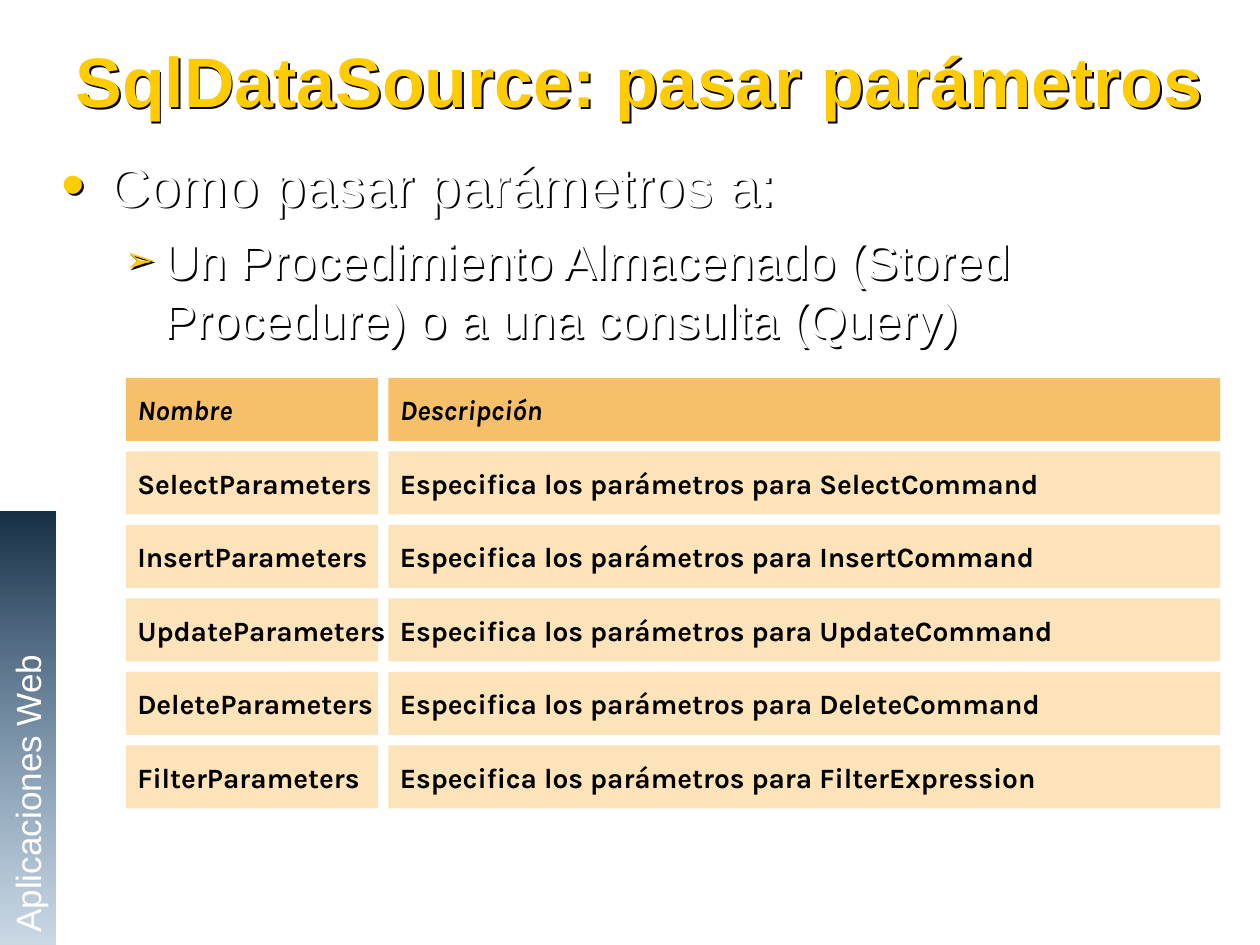
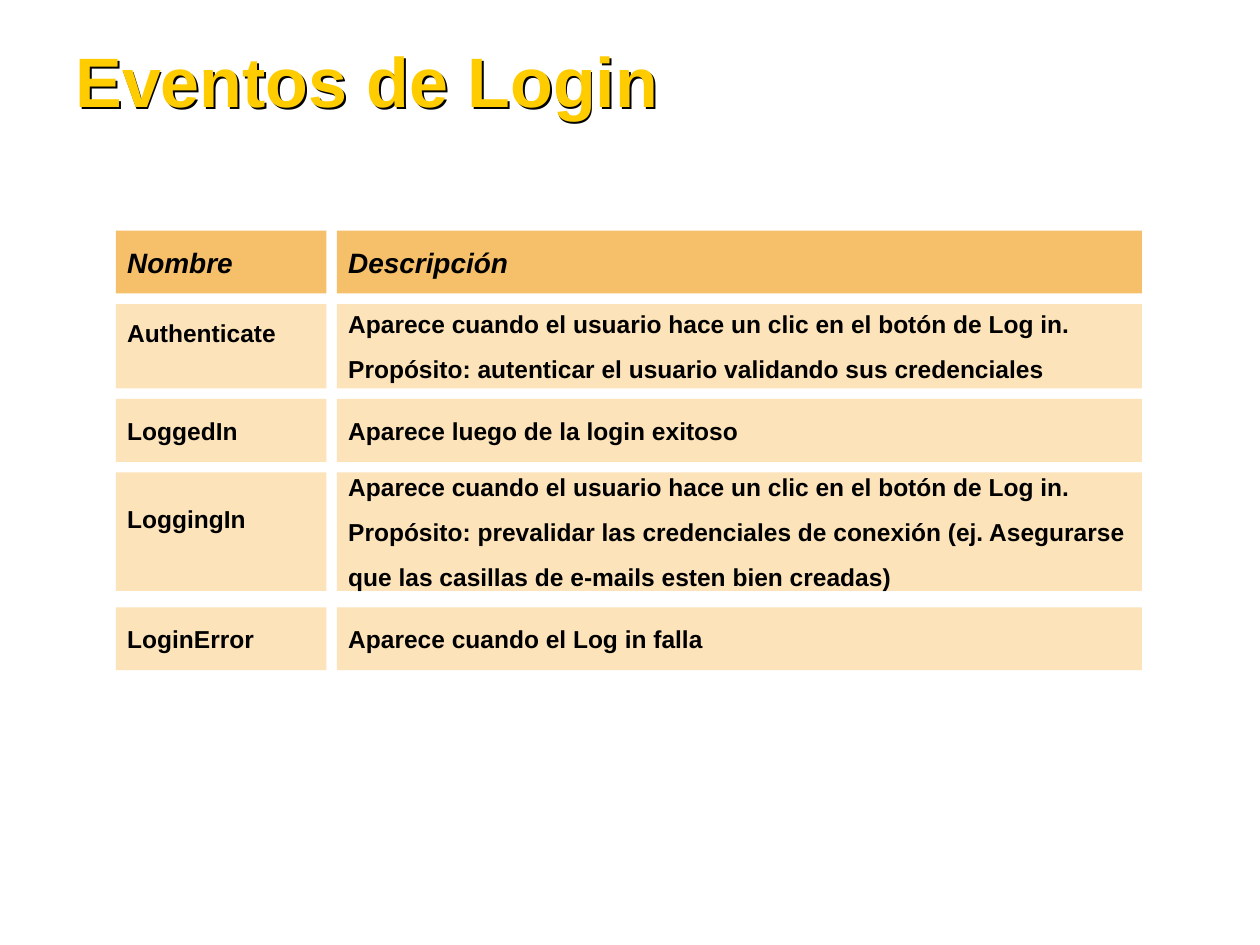
from lxml.etree import SubElement
from pptx import Presentation
from pptx.dml.color import RGBColor
from pptx.enum.shapes import MSO_SHAPE as Preset
from pptx.enum.text import MSO_ANCHOR as Anchor, PP_ALIGN as Align
from pptx.oxml.ns import qn
from pptx.util import Inches, Pt

GOLD, WHITE, BLACK = "FFCC00", "FFFFFF", "000000"
HEAD_FILL, ROW_FILL = "F6BF69", "FDE3BA"
BAND_DARK, BAND_LIGHT = "183046", "346898"
GAP = 1 / 12
CELL_INSET = 0.09
HEADINGS = ("Nombre", ["Descripción"])

PARAMETERS = dict(
    title="SqlDataSource: pasar parámetros",
    points=[
        dict(text="Como pasar parámetros a:", size=32, left=0.38,
             indent=-0.38, bullet="•", bullet_size=120),
        dict(text="Un Procedimiento Almacenado (Stored Procedure) o a una consulta (Query)",
             size=28, left=0.81, indent=-0.31, bullet="➢", bullet_size=75, before=7, level=1),
    ],
    band="Aplicaciones Web",
    grid=dict(left=1, top=3, widths=(2, 6.6), font="Karla", size=16, before=10),
    rows=[
        (f"{action}Parameters", [f"Especifica los parámetros para {target}"], 0.5, GAP)
        for action, target in [
            ("Select", "SelectCommand"),
            ("Insert", "InsertCommand"),
            ("Update", "UpdateCommand"),
            ("Delete", "DeleteCommand"),
            ("Filter", "FilterExpression"),
        ]
    ],
)
EVENTS = dict(
    title="Eventos de Login",
    grid=dict(left=0.92, top=1.83, widths=(1.67, 6.39), font="Arial", size=14, before=8.8),
    rows=[
        ("Authenticate", ["Aparece cuando el usuario hace un clic en el botón de Log in.",
                          "Propósito: autenticar el usuario validando sus credenciales"], 0.67, GAP),
        ("LoggedIn", ["Aparece luego de la login exitoso"], 0.5, GAP),
        ("LoggingIn", ["Aparece cuando el usuario hace un clic en el botón de Log in.",
                       "Propósito: prevalidar las credenciales de conexión (ej. Asegurarse",
                       "que las casillas de e-mails esten bien creadas)"], 0.94, 0.13),
        ("LoginError", ["Aparece cuando el Log in falla"], 0.5, GAP),
    ],
)


def rgb(value):
    return RGBColor.from_string(value)


def add_bullet(paragraph, left, indent, bullet, bullet_size):
    props = paragraph._p.get_or_add_pPr()
    props.set("marL", str(Inches(left)))
    props.set("indent", str(Inches(indent)))
    color = SubElement(props, qn("a:buClr"))
    SubElement(color, qn("a:srgbClr"), val=GOLD)
    SubElement(props, qn("a:buSzPct"), val=str(bullet_size * 1000))
    SubElement(props, qn("a:buFont"), typeface="Arial")
    SubElement(props, qn("a:buChar"), char=bullet)


def write(frame, text, size=16, font="Arial", color=BLACK, bold=False, italic=False,
          before=0, level=0, **bullet):
    started = bool(frame.paragraphs[0].runs)
    paragraph = frame.add_paragraph() if started else frame.paragraphs[0]
    paragraph.alignment = Align.LEFT
    paragraph.level = level
    if started:
        paragraph.space_before = Pt(before)
    if bullet:
        add_bullet(paragraph, **bullet)
    run = paragraph.add_run()
    run.text = text
    run.font.size, run.font.name = Pt(size), font
    run.font.bold, run.font.italic = bold, italic
    run.font.color.rgb = rgb(color)


def add_box(slide, left, top, width, height):
    box = slide.shapes.add_shape(Preset.RECTANGLE, *map(Inches, (left, top, width, height)))
    box.shadow.inherit = False
    box.line.fill.background()
    return box


def add_shadowed_text(slide, left, top, width, height, anchor=Anchor.TOP):
    box = slide.shapes.add_textbox(*map(Inches, (left, top, width, height)))
    box.text_frame.word_wrap = True
    box.text_frame.vertical_anchor = anchor
    effects = SubElement(box._element.spPr, qn("a:effectLst"))
    shadow = SubElement(effects, qn("a:outerShdw"), dist=str(Inches(0.02)), dir="2700000")
    SubElement(shadow, qn("a:srgbClr"), val=BLACK)
    return box.text_frame


def add_cell(slide, place, lines, fill, lift=0, **style):
    cell = add_box(slide, *place)
    cell.fill.solid()
    cell.fill.fore_color.rgb = rgb(fill)
    frame = cell.text_frame
    frame.word_wrap = False
    frame.vertical_anchor = Anchor.MIDDLE
    frame.margin_left = frame.margin_right = frame.margin_top = Inches(CELL_INSET)
    frame.margin_bottom = Inches(CELL_INSET + lift)
    for line in lines:
        write(frame, line, bold=True, **style)


def add_grid(slide, rows, left, top, widths, font, size, before):
    name_width, description_width = widths
    description_left = left + name_width + GAP
    for index, (name, lines, height, gap) in enumerate([(*HEADINGS, 0.5, GAP), *rows]):
        heading = index == 0
        fill = HEAD_FILL if heading else ROW_FILL
        style = dict(font=font, size=16 if heading else size, italic=heading, before=before)
        lift = 0.21 if len(lines) > 1 else 0
        add_cell(slide, (left, top, name_width, height), [name], fill, lift, **style)
        add_cell(slide, (description_left, top, description_width, height), lines, fill, **style)
        top += height + gap


def add_band(slide, text):
    band = add_box(slide, -1.5, 5.56, 3.44, 0.44)
    band.rotation = 270
    band.fill.gradient()
    band.fill.gradient_angle = 180
    for stop, color, position in zip(band.fill.gradient_stops, (BAND_DARK, BAND_LIGHT), (0, 1)):
        stop.color.rgb = rgb(color)
        stop.position = position
    light = band._element.spPr.findall(".//" + qn("a:srgbClr"))[1]
    SubElement(light, qn("a:alpha"), val="25000")
    band.text_frame.vertical_anchor = Anchor.TOP
    write(band.text_frame, text, size=20, color=WHITE)


def build_slide(deck, title, grid, rows, points=(), band=None):
    slide = deck.slides.add_slide(deck.slide_layouts[6])
    add_grid(slide, rows, **grid)
    if points:
        body = add_shadowed_text(slide, 0.39, 1.15, 9.46, 1.73)
        for point in points:
            write(body, color=WHITE, **point)
    heading = add_shadowed_text(slide, 0.5, 0.21, 9.38, 0.85, Anchor.MIDDLE)
    write(heading, title, size=40, color=GOLD, bold=True)
    if band:
        add_band(slide, band)


def main():
    deck = Presentation()
    deck.slide_width, deck.slide_height = Inches(10), Inches(7.5)
    for content in (PARAMETERS, EVENTS):
        build_slide(deck, **content)
    deck.save("out.pptx")


if __name__ == "__main__":
    main()
